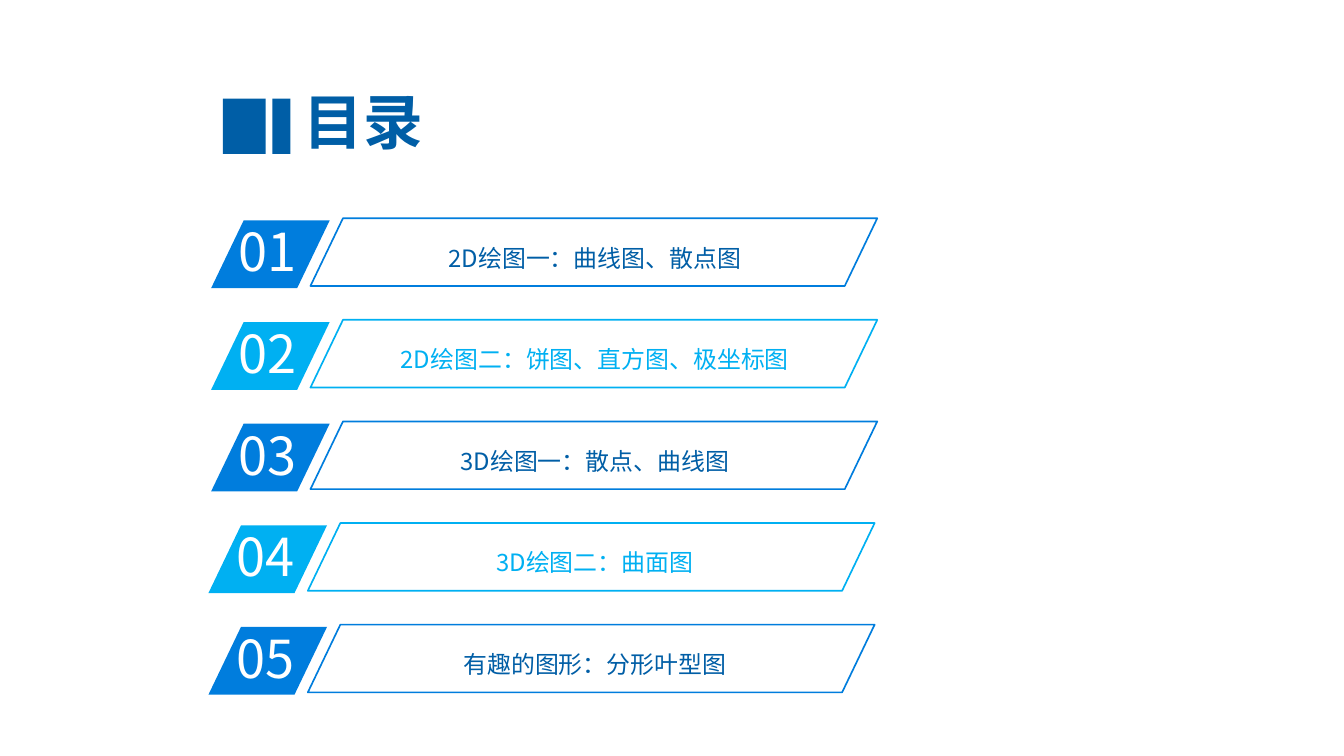
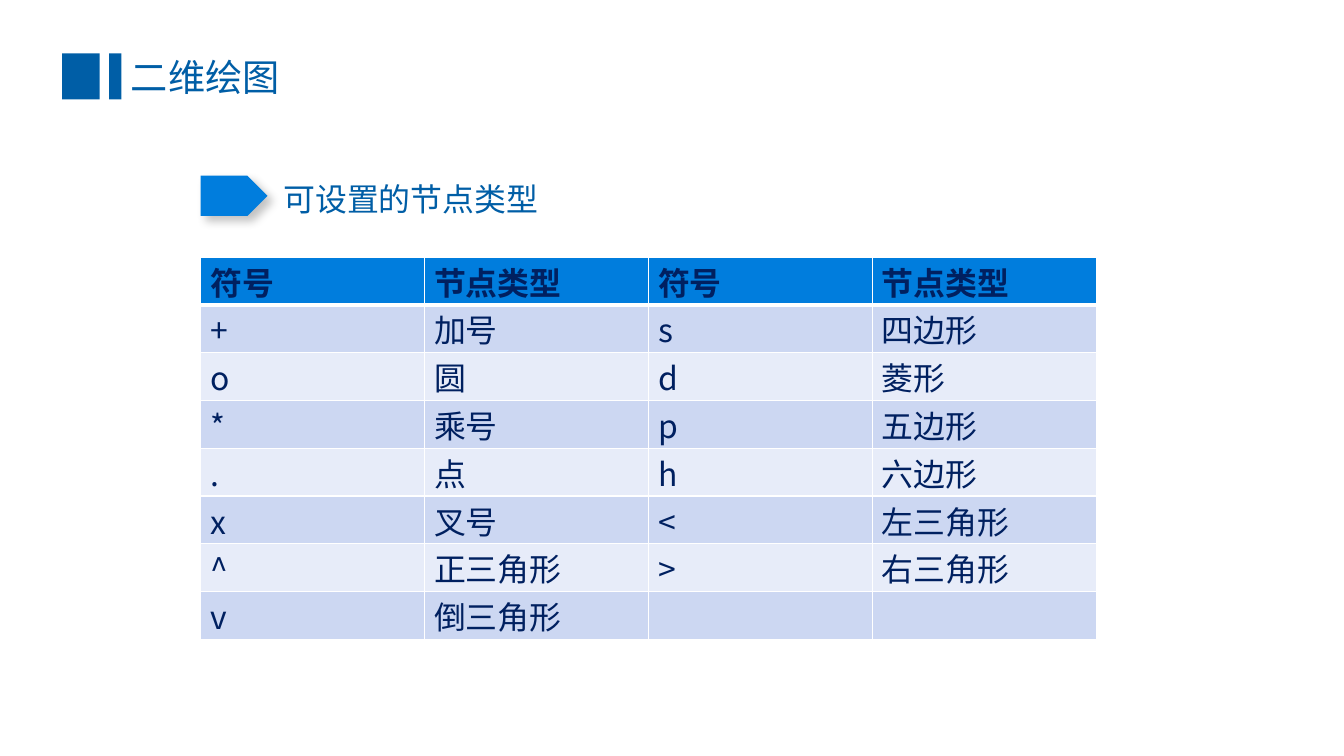
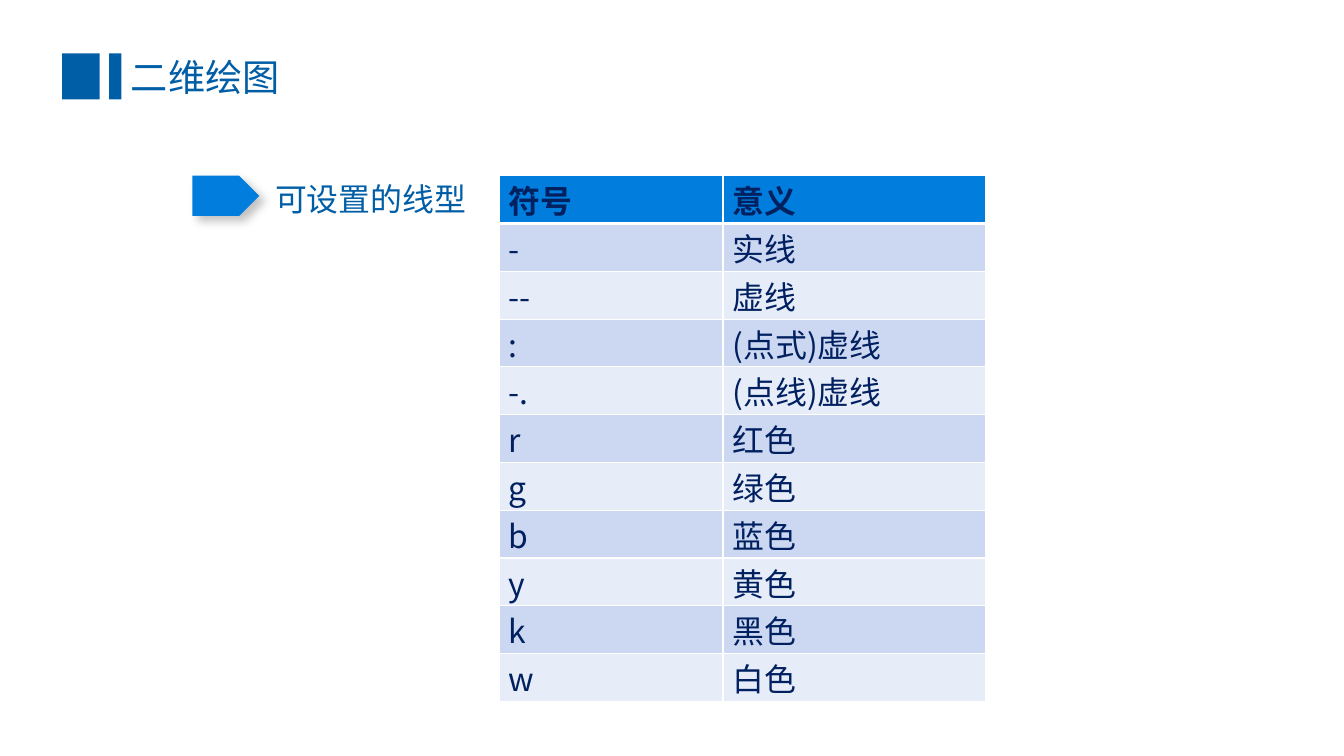
from lxml import etree
from pptx import Presentation
from pptx.dml.color import RGBColor
from pptx.enum.shapes import MSO_SHAPE
from pptx.enum.text import MSO_ANCHOR, PP_ALIGN
from pptx.oxml import parse_xml
from pptx.oxml.ns import nsdecls, qn
from pptx.util import Cm, Pt

RECT = MSO_SHAPE.RECTANGLE
SLANT = MSO_SHAPE.PARALLELOGRAM
PLATE = MSO_SHAPE.PENTAGON
LEFT, MID = PP_ALIGN.LEFT, PP_ALIGN.CENTER
TOP, CENTER = MSO_ANCHOR.TOP, MSO_ANCHOR.MIDDLE


class Deck:
    """Shared style and the slide being filled."""

    font = "Noto Sans CJK SC"
    colors = {
        "deep": "005EA6", "blue": "007DDD", "sky": "00B0F2",
        "navy": "002060", "odd": "CCD7F2", "even": "E7ECF9",
        "white": "FFFFFF",
    }

    def __init__(self):
        self.prs = Presentation()
        self.prs.slide_width, self.prs.slide_height = Cm(35.71), Cm(20.09)
        self.slide = None

    def rgb(self, name):
        return RGBColor.from_string(self.colors[name])

    def page(self):
        self.slide = self.prs.slides.add_slide(self.prs.slide_layouts[6])

    def shape(self, kind, x, y, w, h, fill=None, line=None):
        item = self.slide.shapes.add_shape(kind, Cm(x), Cm(y), Cm(w), Cm(h))
        item.shadow.inherit = False
        if fill:
            item.fill.solid()
            item.fill.fore_color.rgb = self.rgb(fill)
        else:
            item.fill.background()
        if line:
            item.line.color.rgb = self.rgb(line)
            item.line.width = Pt(1.25)
        else:
            item.line.fill.background()
        return item

    def slant(self, x, y, w, h, fill=None, line=None):
        self.shape(SLANT, x, y, w, h, fill, line).adjustments[0] = 0.48

    def run(self, para, text, size, color, bold=False):
        run = para.add_run()
        run.text = text
        run.font.size = Pt(size)
        run.font.bold = bold
        run.font.color.rgb = self.rgb(color)
        run.font.name = self.font
        east = etree.SubElement(run.font._element, qn("a:ea"))
        east.set("typeface", self.font)

    def text(self, x, y, w, h, text, size, color, bold=False,
             align=LEFT, anchor=TOP, space=1.0):
        box = self.slide.shapes.add_textbox(Cm(x), Cm(y), Cm(w), Cm(h))
        frame = box.text_frame
        frame.word_wrap = True
        frame.vertical_anchor = anchor
        para = frame.paragraphs[0]
        para.alignment = align
        para.line_spacing = space
        self.run(para, text, size, color, bold)

    def title(self, text):
        self.shape(RECT, 1.65, 1.42, 1, 1.22, "deep")
        self.shape(RECT, 2.9, 1.42, 0.33, 1.22, "deep")
        self.text(3.23, 1.32, 13.46, 1.45, text, 28, "deep")

    def topic(self, x, text):
        plate = self.shape(PLATE, x, 4.67, 1.78, 1.07, "blue")
        effect = plate._element.spPr.find(qn("a:effectLst"))
        effect.append(parse_xml(
            f'<a:outerShdw {nsdecls("a")} blurRad="{Pt(7)}" dist="{Pt(5.9)}" '
            'dir="2700000" algn="tl" rotWithShape="0"><a:srgbClr val="000000">'
            '<a:alpha val="23000"/></a:srgbClr></a:outerShdw>'))
        self.text(x + 1.95, 4.45, 20, 1.35, text, 24, "deep", space=1.2)

    def border(self, cell, row):
        props = cell._tc.get_or_add_tcPr()
        widths = {"L": 1, "R": 1, "T": 3 if row == 1 else 1,
                  "B": 3 if row == 0 else 1}
        for spot, (side, width) in enumerate(widths.items()):
            props.insert(spot, parse_xml(
                f'<a:ln{side} {nsdecls("a")} w="{Pt(width)}"><a:solidFill>'
                f'<a:srgbClr val="{self.colors["white"]}"/></a:solidFill>'
                f'</a:ln{side}>'))

    def table(self, x, y, widths, rows):
        high = 1.27
        grid = self.slide.shapes.add_table(
            len(rows), len(widths), Cm(x), Cm(y),
            Cm(sum(widths)), Cm(high * len(rows))).table
        for col, width in zip(grid.columns, widths):
            col.width = Cm(width)
        for r, row in enumerate(rows):
            grid.rows[r].height = Cm(high)
            fill = "blue" if r == 0 else "odd" if r % 2 else "even"
            for c, text in enumerate(row):
                cell = grid.cell(r, c)
                cell.margin_top, cell.margin_bottom = Cm(0.03), Cm(0)
                cell.fill.solid()
                cell.fill.fore_color.rgb = self.rgb(fill)
                self.border(cell, r)
                if text:
                    self.run(cell.text_frame.paragraphs[0], text, 24,
                             "navy", r == 0)


def main():
    deck = Deck()

    # Contents
    deck.page()
    deck.shape(RECT, 5.92, 2.62, 1.14, 1.47, "deep")
    deck.shape(RECT, 7.24, 2.62, 0.48, 1.47, "deep")
    deck.text(5.26, 2.24, 8.81, 1.93, "目录", 45, "deep", True, MID, CENTER)
    parts = ["2D绘图一：曲线图、散点图", "2D绘图二：饼图、直方图、极坐标图",
             "3D绘图一：散点、曲线图", "3D绘图二：曲面图",
             "有趣的图形：分形叶型图"]
    for i, part in enumerate(parts):
        x, y = 5.61 if i < 3 else 5.54, 5.86 + 2.7 * i
        tint, ink = ("sky", "sky") if i % 2 else ("blue", "deep")
        deck.slant(x, y, 3.15, 1.8, fill=tint)
        deck.text(x + 0.49, y - 0.15, 3, 1.93, f"{i + 1:02}", 39.4, "white")
        deck.slant(x + 2.64, y - 0.06, 15.06, 1.8, line=tint)
        deck.text(10.28, y + 0.1, 11.05, 1.42, part, 18, ink,
                  align=MID, space=1.5)

    # Marker types
    deck.page()
    deck.title("二维绘图")
    deck.topic(5.33, "可设置的节点类型")
    deck.table(5.33, 6.83, [5.95] * 4, [
        ("符号", "节点类型", "符号", "节点类型"),
        ("+", "加号", "s", "四边形"),
        ("o", "圆", "d", "菱形"),
        ("*", "乘号", "p", "五边形"),
        (".", "点", "h", "六边形"),
        ("x", "叉号", "<", "左三角形"),
        ("^", "正三角形", ">", "右三角形"),
        ("v", "倒三角形", "", ""),
    ])

    # Line styles and colours
    deck.page()
    deck.title("二维绘图")
    deck.topic(5.11, "可设置的线型")
    deck.table(13.26, 4.67, [5.95, 6.98], [
        ("符号", "意义"), ("-", "实线"), ("--", "虚线"),
        (":", "(点式)虚线"), ("-.", "(点线)虚线"), ("r", "红色"),
        ("g", "绿色"), ("b", "蓝色"), ("y", "黄色"),
        ("k", "黑色"), ("w", "白色"),
    ])

    deck.prs.save("out.pptx")


if __name__ == "__main__":
    main()
